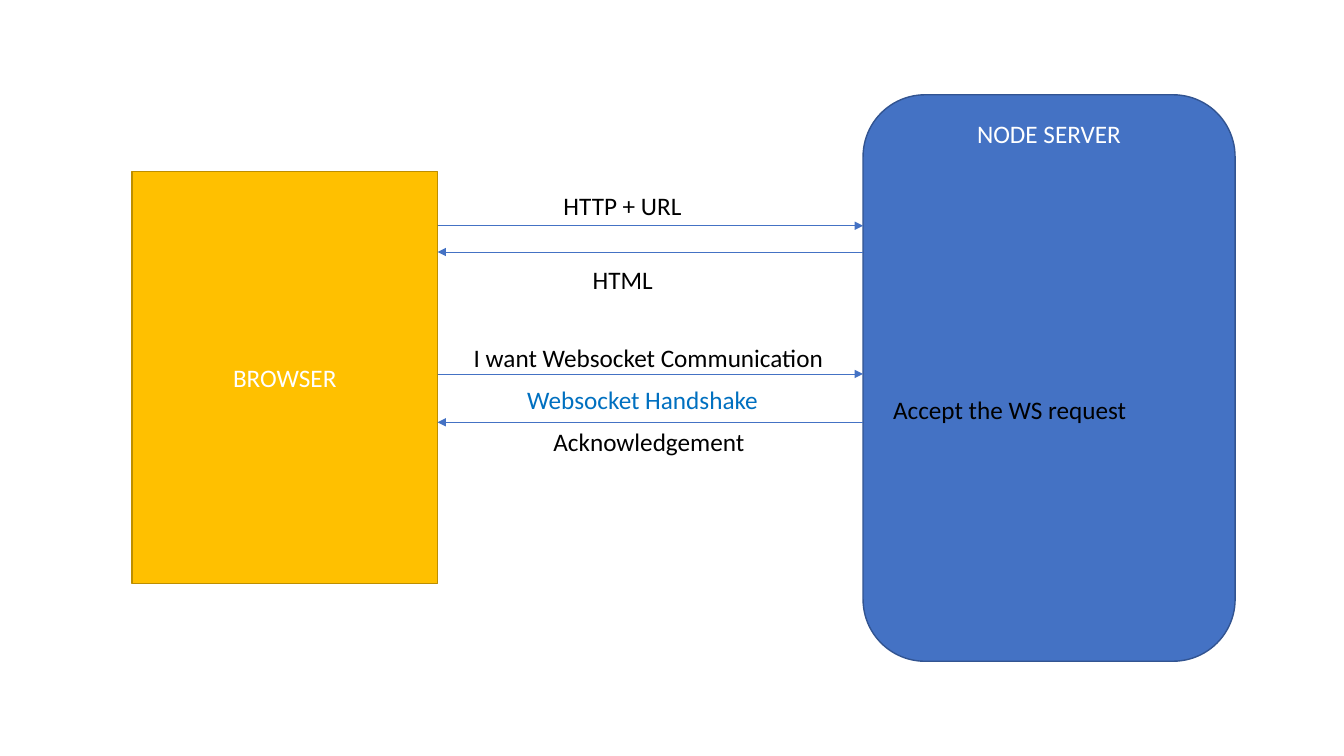
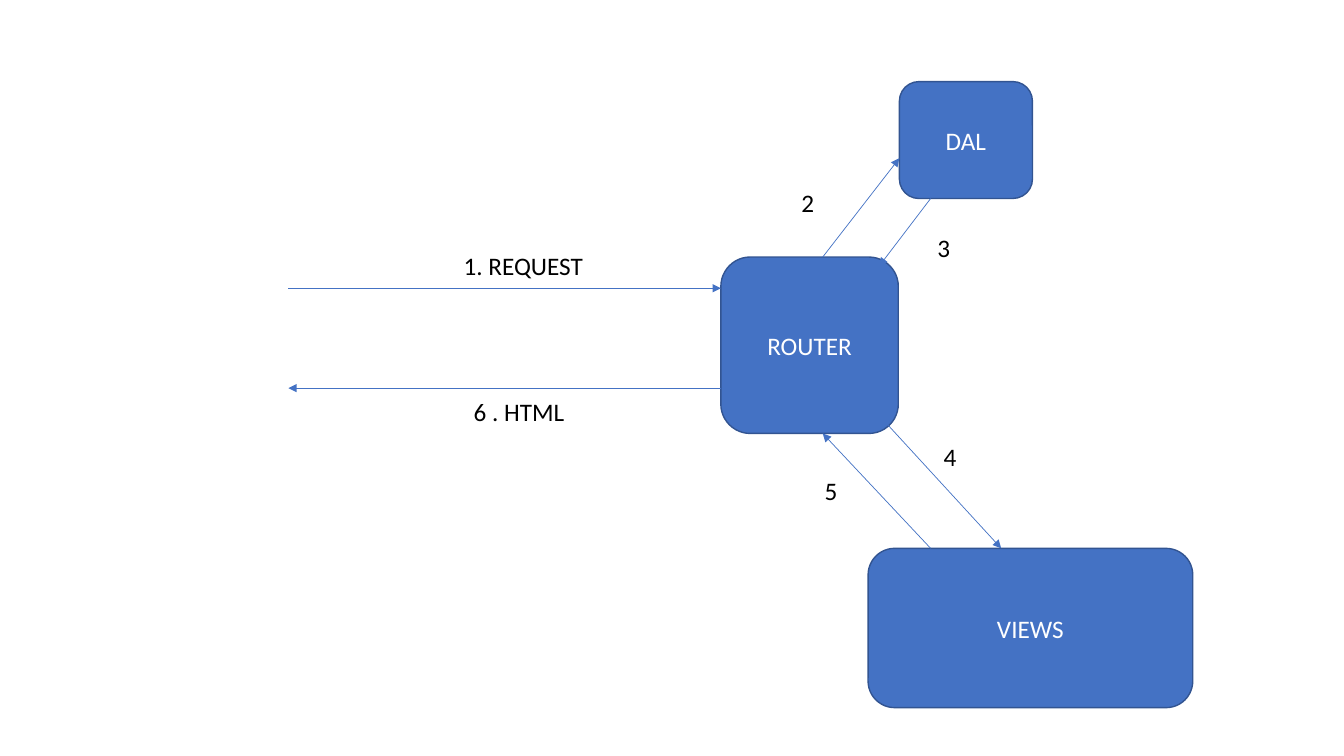
from pptx import Presentation
from pptx import util as u
from pptx.dml import color
from pptx.enum import shapes, text
from pptx.oxml import ns, xmlchemy

BLUE, NAVY, GOLD, BROWN = "4472C4", "325491", "FFC000", "BD8E00"
SKY, BLACK, WHITE = "0070C0", "000000", "FFFFFF"
ROUND, RECT = shapes.MSO_SHAPE.ROUNDED_RECTANGLE, shapes.MSO_SHAPE.RECTANGLE
MID, TOP = text.MSO_ANCHOR.MIDDLE, text.MSO_ANCHOR.TOP


def rgb(code):
    """Turn a hex string into a colour."""
    return color.RGBColor.from_string(code)


class Deck:
    """Hold the shared style and the current slide."""

    def __init__(self):
        """Start an empty wide deck."""
        self.prs = Presentation()
        self.prs.slide_width = u.Inches(13.33)
        self.prs.slide_height = u.Inches(7.5)
        self.slide = None

    def page(self):
        """Add a blank slide and make it current."""
        self.slide = self.prs.slides.add_slide(self.prs.slide_layouts[6])

    def words(self, frame, words, ink, align):
        """Add one run in the shared font."""
        para = frame.paragraphs[0]
        para.alignment = align
        run = para.add_run()
        run.text = words
        run.font.name = "Calibri"
        run.font.size = u.Pt(18)
        run.font.color.rgb = rgb(ink)

    def box(self, words, x, y, w, h, kind=ROUND, fill=BLUE, edge=NAVY, anchor=MID):
        """Draw a filled box with a centred caption."""
        shape = self.slide.shapes.add_shape(kind, *map(u.Inches, (x, y, w, h)))
        shape.shadow.inherit = False
        shape.fill.solid()
        shape.fill.fore_color.rgb = rgb(fill)
        shape.line.color.rgb = rgb(edge)
        shape.line.width = u.Pt(1)
        shape.text_frame.vertical_anchor = anchor
        self.words(shape.text_frame, words, WHITE, text.PP_ALIGN.CENTER)

    def label(self, words, x, y, w, ink=BLACK):
        """Place a single line of text."""
        area = self.slide.shapes.add_textbox(*map(u.Inches, (x, y, w, 0.4)))
        frame = area.text_frame
        frame.word_wrap = False
        frame.auto_size = text.MSO_AUTO_SIZE.SHAPE_TO_FIT_TEXT
        self.words(frame, words, ink, text.PP_ALIGN.LEFT)

    def arrow(self, x1, y1, x2, y2):
        """Draw a thin line with a head at its end."""
        line = self.slide.shapes.add_connector(
            shapes.MSO_CONNECTOR.STRAIGHT, *map(u.Inches, (x1, y1, x2, y2)))
        line.line.color.rgb = rgb(BLUE)
        line.line.width = u.Pt(0.5)
        head = xmlchemy.OxmlElement("a:tailEnd")
        head.set("type", "triangle")
        props = line._element.spPr
        props.find(ns.qn("a:ln")).append(head)
        props.append(xmlchemy.OxmlElement("a:effectLst"))

    def trade(self, left, right, out, back):
        """Draw a level arrow to the right and one back below it."""
        self.arrow(left, out, right, out)
        self.arrow(right, back, left, back)


def socket(deck):
    """Draw the handshake between browser and server."""
    deck.page()
    deck.box("NODE SERVER", 8.56, 0.94, 3.69, 5.62, anchor=TOP)
    deck.box("BROWSER", 1.31, 1.7, 3.03, 4.09, RECT, GOLD, BROWN)
    for out, back in ((2.24, 2.5), (3.71, 4.19)):
        deck.trade(4.34, 8.56, out, back)
    deck.label("HTTP + URL", 5.49, 1.84, 1.39)
    deck.label("HTML", 5.78, 2.57, 0.81)
    deck.label("I want Websocket Communication", 4.6, 3.35, 3.71)
    deck.label("Acknowledgement", 5.39, 4.18, 2.12)
    deck.label("Websocket Handshake", 5.13, 3.76, 2.52, SKY)
    deck.label("Accept the WS request", 8.76, 3.86, 2.54)


def route(deck):
    """Draw the path of a request through the router."""
    deck.page()
    deck.box("ROUTER", 7.15, 2.55, 1.76, 1.75)
    deck.box("DAL", 8.92, 0.81, 1.32, 1.16)
    deck.box("VIEWS", 8.61, 5.44, 3.22, 1.58)
    deck.trade(2.86, 7.15, 2.86, 3.85)
    deck.label("1. REQUEST", 4.5, 2.43, 1.39)
    deck.label("6 . HTML", 4.6, 3.88, 1.11)
    steps = (
        ("2", (8.16, 2.55, 8.92, 1.57), (7.85, 1.81)),
        ("3", (9.23, 1.97, 8.72, 2.64), (9.2, 2.26)),
        ("4", (8.81, 4.22, 9.93, 5.44), (9.26, 4.33)),
        ("5", (9.23, 5.44, 8.16, 4.3), (8.08, 4.67)),
    )
    for num, ends, spot in steps:
        deck.arrow(*ends)
        deck.label(num, *spot, 0.33)


def main():
    """Build and save the deck."""
    deck = Deck()
    socket(deck)
    route(deck)
    deck.prs.save("out.pptx")


if __name__ == "__main__":
    main()
